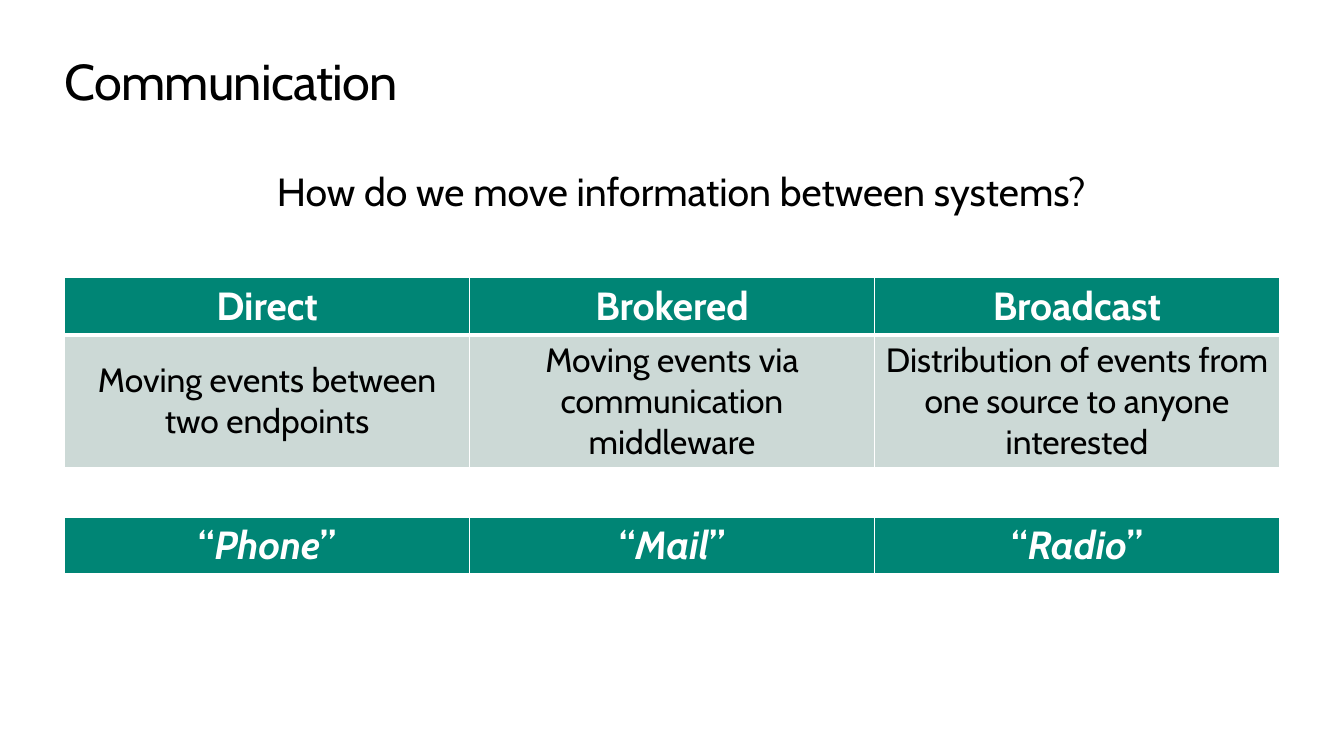
from lxml import etree
from pptx import Presentation
from pptx.dml.color import RGBColor
from pptx.enum.text import MSO_ANCHOR, MSO_AUTO_SIZE, PP_ALIGN
from pptx.oxml.ns import qn
from pptx.util import Inches, Pt

LEFT, CENTER = PP_ALIGN.LEFT, PP_ALIGN.CENTER
TOP, MIDDLE = MSO_ANCHOR.TOP, MSO_ANCHOR.MIDDLE
NO_AUTOFIT = MSO_AUTO_SIZE.NONE

COLORS = {"text": "000000", "white": "FFFFFF", "header": "008575", "body": "CCD9D6"}
FONT = "Cabin"
TABLE_LEFT, TABLE_WIDTH = 0.64, 12.05
HEADER_HEIGHT, BODY_HEIGHT = 0.57, 1.3
THIN, THICK = 1, 3

HEADER = {"size": 28, "bold": True, "color": "white", "fill": "header",
          "anchor": TOP, "borders": {"L": THIN, "R": THIN, "T": THIN, "B": THICK}}
BODY = {"size": 24, "bold": False, "color": "text", "fill": "body",
        "anchor": MIDDLE, "borders": {"L": THIN, "R": THIN, "T": THICK, "B": THIN}}


class SlideBuilder:
    def __init__(self, slide):
        self.slide = slide

    def add_runs(self, paragraph, runs, size, color, alignment=CENTER, bold=False):
        """Fill a paragraph with (text, italic) runs."""
        paragraph.alignment = alignment
        for text, italic in runs:
            run = paragraph.add_run()
            run.text = text
            values = {"name": FONT, "size": Pt(size), "bold": bold, "italic": italic}
            for name, value in values.items():
                setattr(run.font, name, value)
            run.font.color.rgb = RGBColor.from_string(COLORS[color])

    def format_frame(self, text_frame):
        values = {"margin_left": 0, "margin_right": 0, "margin_top": 0,
                  "margin_bottom": 0, "word_wrap": True,
                  "auto_size": NO_AUTOFIT, "vertical_anchor": TOP}
        for name, value in values.items():
            setattr(text_frame, name, value)

    def title(self, text, left, top, width, height):
        shape = self.slide.shapes.title
        box = {"left": left, "top": top, "width": width, "height": height}
        for name, value in box.items():
            setattr(shape, name, Inches(value))
        self.format_frame(shape.text_frame)
        paragraph = shape.text_frame.paragraphs[0]
        self.add_runs(paragraph, [(text, False)], 36, "text", LEFT)
        paragraph.runs[0].font._element.set("spc", "-50")

    def text(self, text, left, top, width, height):
        shape = self.slide.shapes.add_textbox(*map(Inches, (left, top, width, height)))
        self.format_frame(shape.text_frame)
        self.add_runs(shape.text_frame.paragraphs[0], [(text, False)], 28, "text")

    def border(self, cell, borders):
        properties = cell._tc.get_or_add_tcPr()
        for index, (side, width) in enumerate(borders.items()):
            line = etree.Element(qn(f"a:ln{side}"), w=str(Pt(width)))
            fill = etree.SubElement(line, qn("a:solidFill"))
            etree.SubElement(fill, qn("a:srgbClr"), val=COLORS["white"])
            properties.insert(index, line)

    def table(self, top, rows):
        """Draw rows given as (height, style, cells), each cell a list of runs."""
        columns = len(rows[0][2])
        height = sum(row[0] for row in rows)
        frame = self.slide.shapes.add_table(
            len(rows), columns, *map(Inches, (TABLE_LEFT, top, TABLE_WIDTH, height)))
        table = frame.table
        for row_index, (row_height, style, cells) in enumerate(rows):
            table.rows[row_index].height = Inches(row_height)
            for column_index, runs in enumerate(cells):
                cell = table.cell(row_index, column_index)
                cell.fill.solid()
                cell.fill.fore_color.rgb = RGBColor.from_string(COLORS[style["fill"]])
                cell.vertical_anchor = style["anchor"]
                self.border(cell, style["borders"])
                self.add_runs(cell.text_frame.paragraphs[0], runs, style["size"],
                              style["color"], bold=style["bold"])


def main():
    presentation = Presentation()
    presentation.slide_width = Inches(13.33)
    presentation.slide_height = Inches(7.5)
    title_only = presentation.slide_layouts[5]
    builder = SlideBuilder(presentation.slides.add_slide(title_only))

    # Title and question
    builder.title("Communication", TABLE_LEFT, 0.5, TABLE_WIDTH, 0.61)
    builder.text("How do we move information between systems?", 0.82, 1.66, 11.87, 0.47)

    # Kinds of communication
    kinds = ["Direct", "Brokered", "Broadcast"]
    descriptions = ["Moving events between two endpoints",
                    "Moving events via communication middleware",
                    "Distribution of events from one source to anyone interested"]
    builder.table(2.75, [
        (HEADER_HEIGHT, HEADER, [[(kind, False)] for kind in kinds]),
        (BODY_HEIGHT, BODY, [[(description, False)] for description in descriptions]),
    ])

    # Everyday analogies
    analogies = [[("“", False), (word, True), ("”", False)]
                 for word in ("Phone", "Mail", "Radio")]
    builder.table(5.13, [(HEADER_HEIGHT, HEADER, analogies)])

    presentation.save("out.pptx")


if __name__ == "__main__":
    main()
